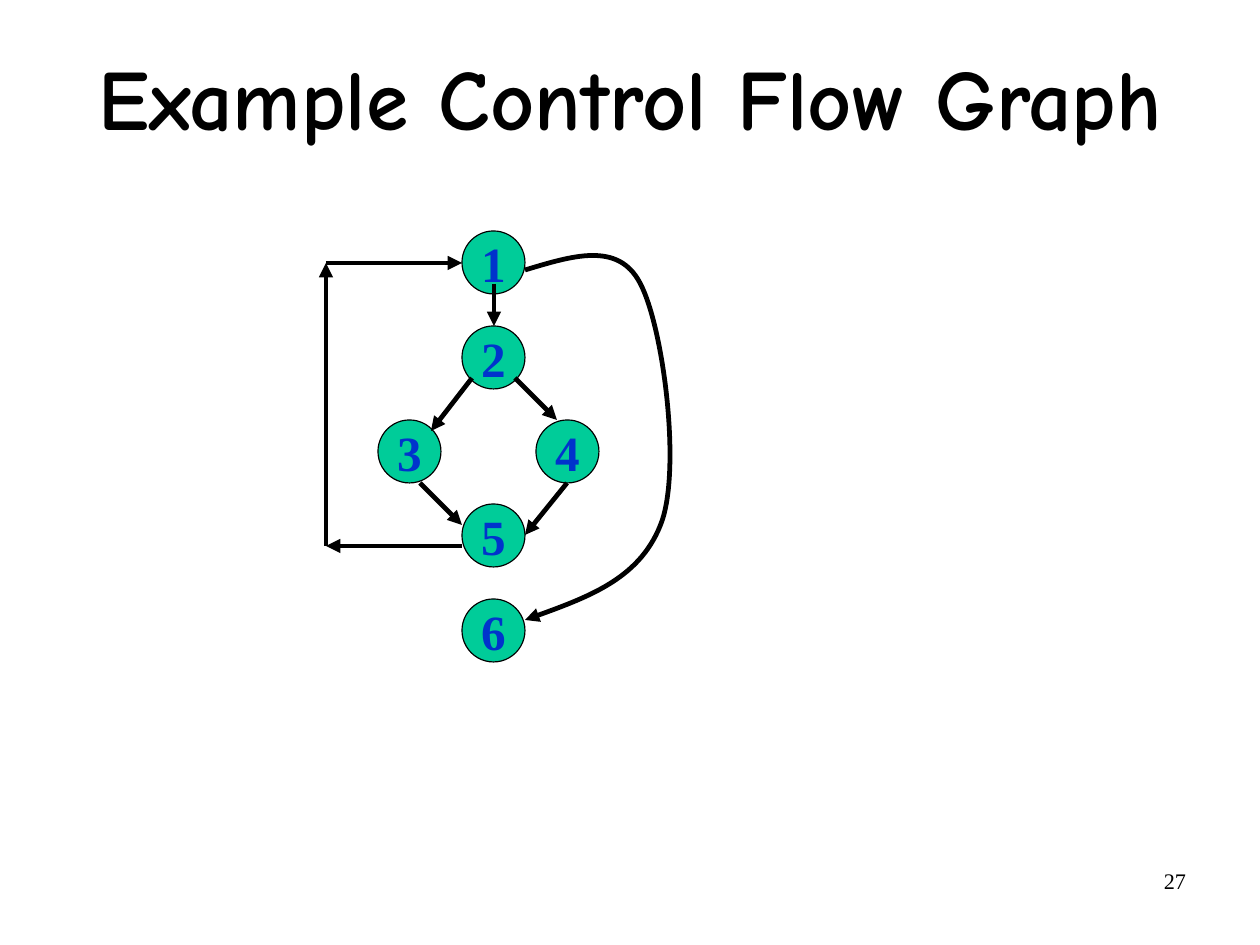
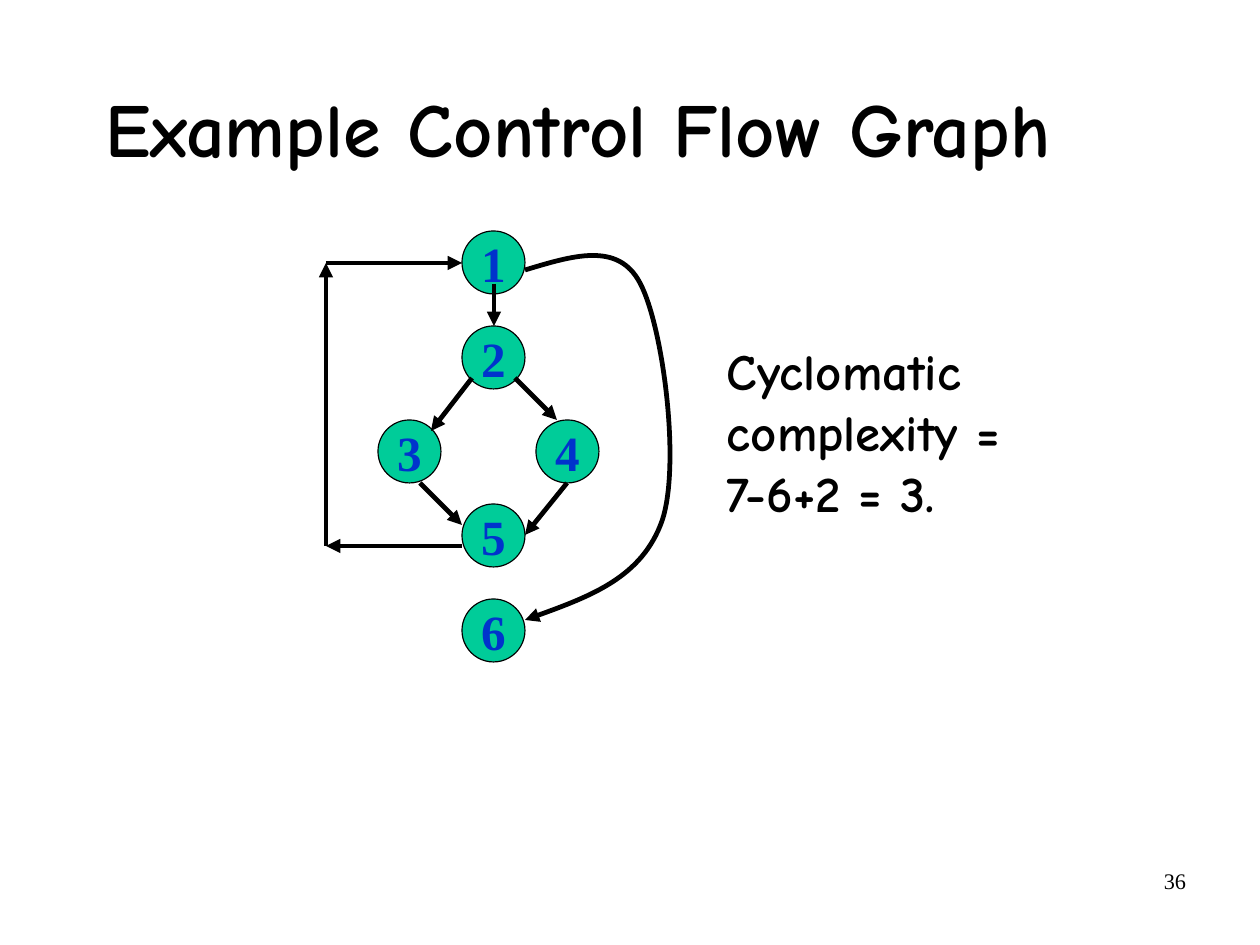
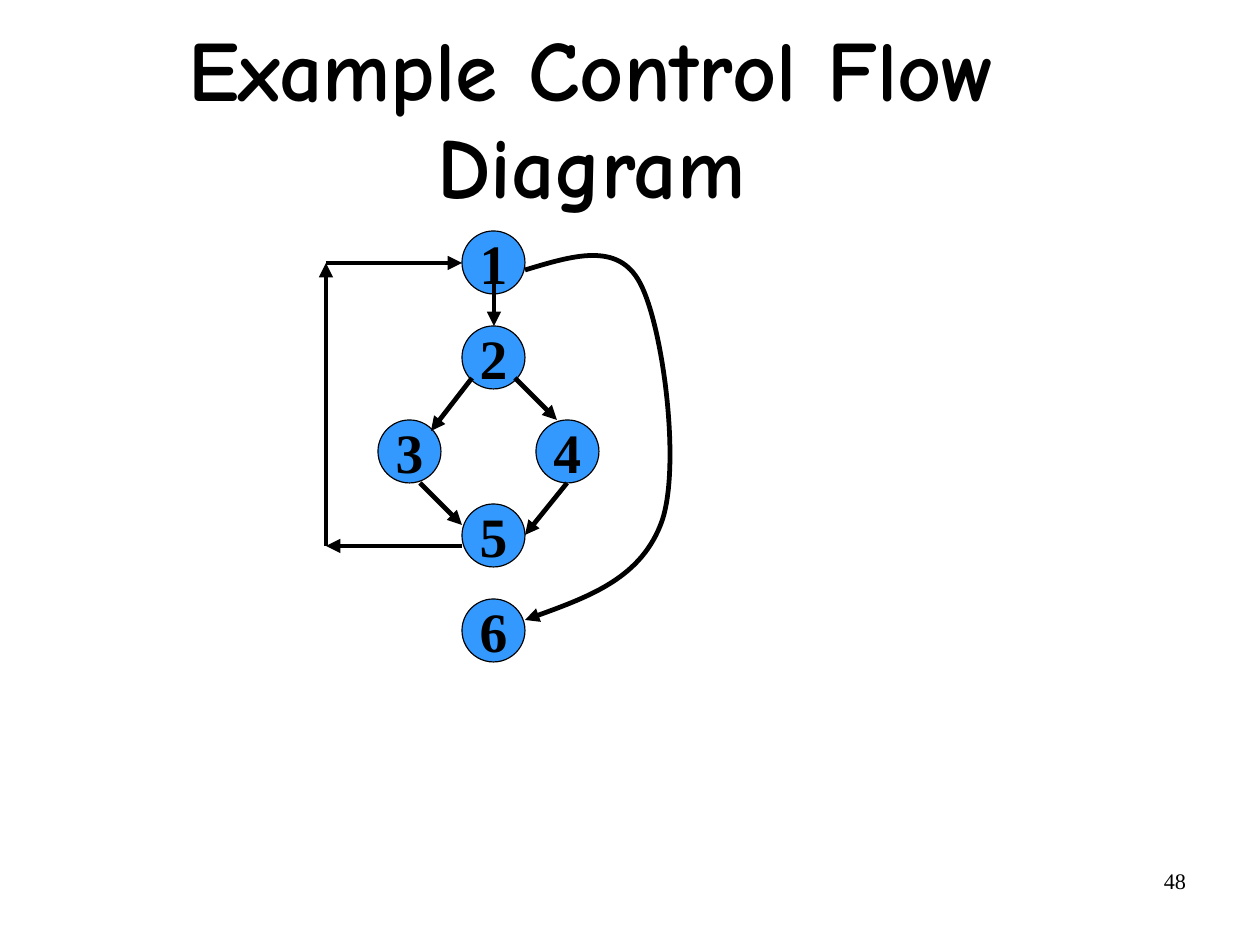
from lxml.etree import SubElement
from pptx import Presentation
from pptx.dml.color import RGBColor
from pptx.enum.shapes import MSO_CONNECTOR as Connector, MSO_SHAPE as Preset
from pptx.enum.text import MSO_ANCHOR as Anchor, PP_ALIGN as Align
from pptx.oxml.ns import qn
from pptx.util import Pt

PX = 8000  # EMU per px
SLIDE_SIZE = (1260, 945)
COLORS = {"ink": "000000", "green": "00CC99", "navy": "0033CC", "blue": "3399FF"}
TITLE_FONT, PLAIN_FONT = "Comic Neue", "Times New Roman"
PAGE_BOX = (903, 861, 294, 65)

GREEN_NODES = {"fill": "green", "color": "navy", "size": 31}
BLUE_NODES = {"fill": "blue", "color": "ink", "size": 35}
SLIDES = [
    {"title": "Example Control Flow Graph", "title_box": (92, 23, 1076, 157),
     "title_size": 54, "nodes": GREEN_NODES, "page": "27"},
    {"title": "Example Control Flow Graph ", "title_box": (56, 53, 1071, 158),
     "title_size": 48, "nodes": GREEN_NODES, "page": "36",
     "note": "Cyclomatic complexity = \n7-6+2 = 3.", "note_box": (716, 334, 423, 194)},
    {"title": "Example Control Flow Diagram", "title_box": (56, 42, 1071, 158),
     "title_size": 54, "nodes": BLUE_NODES, "page": "48"},
]

NODE_SIZE = 63
NODES = {"1": (462, 231), "2": (462, 326), "3": (378, 420),
         "4": (536, 420), "5": (462, 504), "6": (462, 599)}
LOOP = [(462, 546), (326, 546), (326, 263), (462, 263)]
ARROWS = [
    ((494, 284), (494, 326)),
    ((472, 378), (431, 431)),
    ((515, 378), (557, 420)),
    ((420, 483), (462, 525)),
    ((567, 483), (525, 535)),
    *zip(LOOP, LOOP[1:]),
]
EXIT_CURVE = [(525, 270), (572, 256), (618, 241), (640, 283), (663, 326),
              (681, 465), (662, 521), (642, 577), (584, 599), (525, 620)]


def emu(lengths):
    return [length * PX for length in lengths]


def rgb(name):
    return RGBColor.from_string(COLORS[name])


def write(shape, text, size, font=TITLE_FONT, color="ink", bold=True, align=Align.LEFT,
          anchor=Anchor.TOP, inset=(11, 6), spacing=1.0, wrap=True):
    frame = shape.text_frame
    frame.word_wrap, frame.vertical_anchor = wrap, anchor
    frame.margin_left = frame.margin_right = inset[0] * PX
    frame.margin_top = frame.margin_bottom = inset[1] * PX
    para = frame.paragraphs[0]
    para.text, para.alignment, para.line_spacing = text, align, spacing
    for span in para.runs:
        span.font.name, span.font.size, span.font.bold = font, Pt(size), bold
        span.font.color.rgb = rgb(color)


def add_text(slide, box, text, size, **style):
    write(slide.shapes.add_textbox(*emu(box)), text, size, **style)


def add_node(slide, label, corner, fill, color, size):
    node = slide.shapes.add_shape(Preset.OVAL, *emu((*corner, NODE_SIZE, NODE_SIZE)))
    node.shadow.inherit = False
    node.fill.solid()
    node.fill.fore_color.rgb = rgb(fill)
    node.line.color.rgb = rgb("ink")
    node.line.width = Pt(0.75)
    write(node, label, size, font=PLAIN_FONT, color=color, align=Align.CENTER,
          anchor=Anchor.MIDDLE, wrap=False)


def style_arrow(arrow):
    arrow.line.color.rgb = rgb("ink")
    arrow.line.width = Pt(3)
    SubElement(arrow.get_or_add_ln(), qn("a:tailEnd"), type="triangle")


def add_arrow(slide, start, end):
    arrow = slide.shapes.add_connector(Connector.STRAIGHT, *emu((*start, *end)))
    style_arrow(arrow)
    SubElement(arrow.element.spPr, qn("a:effectLst"))


def add_curve(slide, points):
    """Draw cubic Bezier segments: a start, then two controls and an end for each."""
    builder = slide.shapes.build_freeform(*points[0], scale=PX)
    builder.add_line_segments(points[1:], close=False)
    curve = builder.convert_to_shape()
    curve.shadow.inherit = False
    curve.fill.background()
    style_arrow(curve)
    outline = next(curve.element.iter(qn("a:path")))
    steps = outline.findall(qn("a:lnTo"))
    for first in range(0, len(steps), 3):
        segment = SubElement(outline, qn("a:cubicBezTo"))
        for step in steps[first:first + 3]:
            segment.append(step[0])
            outline.remove(step)


def add_graph(slide, node_style):
    for label, corner in NODES.items():
        add_node(slide, label, corner, **node_style)
    for start, end in ARROWS:
        add_arrow(slide, start, end)
    add_curve(slide, EXIT_CURVE)


def main():
    deck = Presentation()
    deck.slide_width, deck.slide_height = emu(SLIDE_SIZE)
    for content in SLIDES:
        slide = deck.slides.add_slide(deck.slide_layouts[6])
        add_text(slide, PAGE_BOX, content["page"], 14, font=PLAIN_FONT, bold=False,
                 align=Align.RIGHT)
        add_text(slide, content["title_box"], content["title"], content["title_size"],
                 align=Align.CENTER, anchor=Anchor.MIDDLE, inset=(0, 0), spacing=0.94)
        add_graph(slide, content["nodes"])
        if "note" in content:
            add_text(slide, content["note_box"], content["note"], 32)
    deck.save("out.pptx")


if __name__ == "__main__":
    main()
